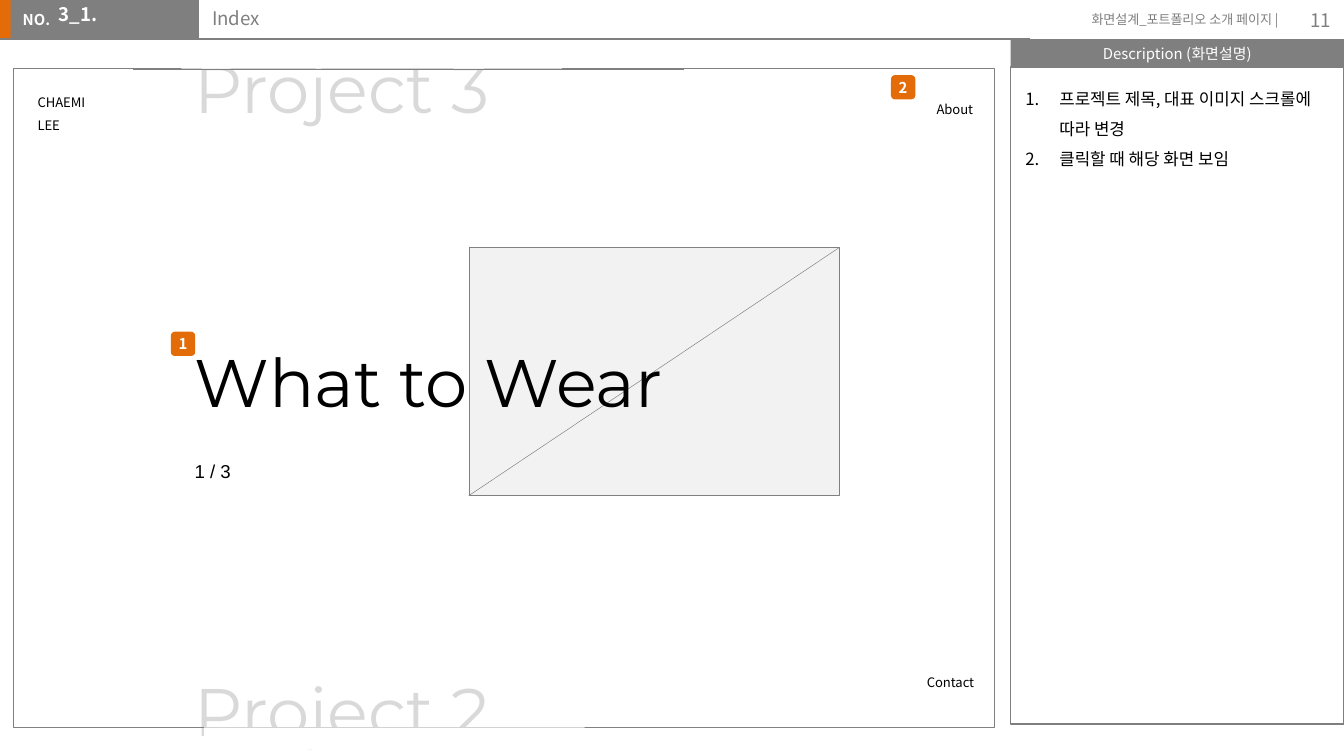
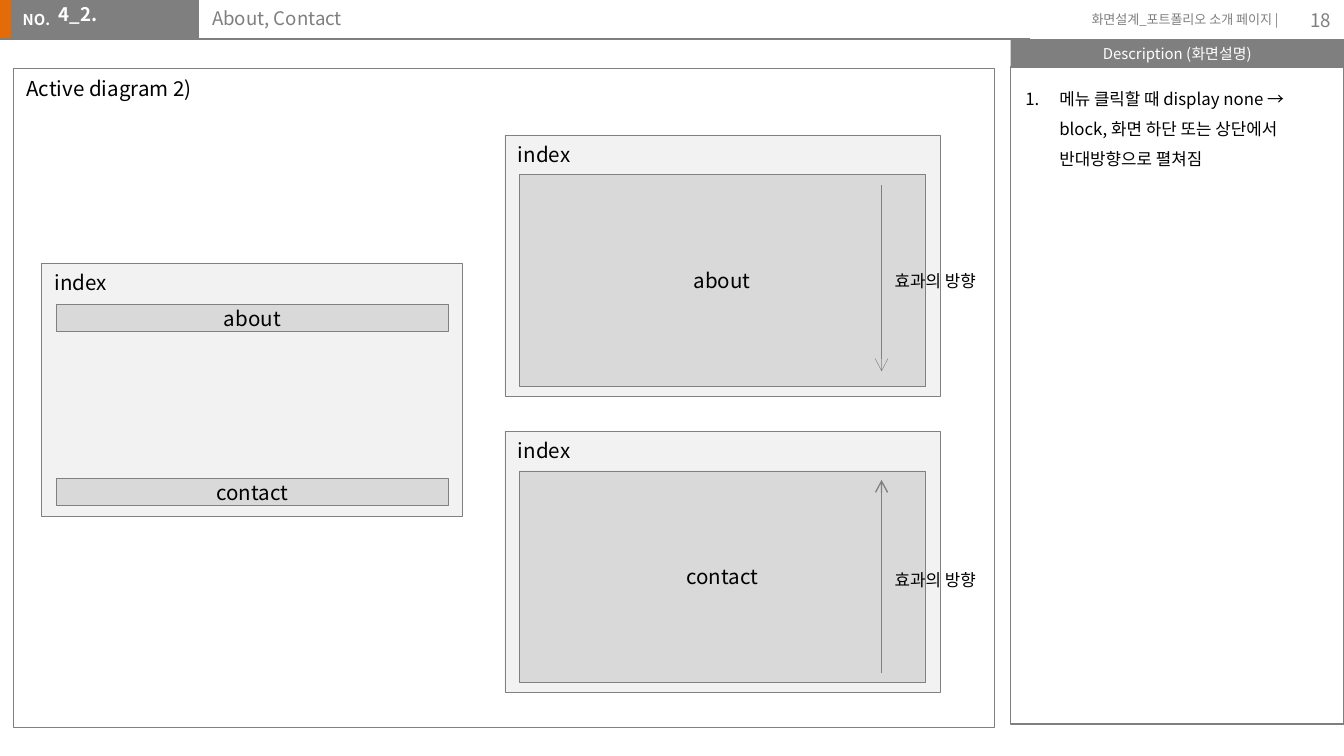
"""Build two screen-design slides of a portfolio storyboard."""
from lxml import etree
from pptx import Presentation
from pptx import util as u
from pptx.dml.color import RGBColor
from pptx.enum import shapes, text
from pptx.oxml import ns

HUES = {
    "accent": "E36C09", "bar": "7F7F7F", "edge": "808080", "pale": "F2F2F2",
    "mid": "D9D9D9", "white": "FFFFFF", "black": "000000",
}
SANS, SHOW, PLAIN = "Noto Sans CJK KR", "Montserrat", "Arial"
LEFT, RIGHT = text.PP_ALIGN.LEFT, text.PP_ALIGN.RIGHT
MID, JUST = text.PP_ALIGN.CENTER, text.PP_ALIGN.JUSTIFY
FRAME = (0.25, 1.3, 18.54, 12.45)


def apply(item, form):
    """Set each attribute named in the form."""
    for key, val in form.items():
        setattr(item, key, val)


def child(node, tag, **attrs):
    """Append a drawing element to a node."""
    return etree.SubElement(node, ns.qn("a:" + tag), attrs)


class Deck:
    """Hold the style and the current slide."""

    def __init__(self):
        """Open a blank wide presentation."""
        self.pres = Presentation()
        apply(self.pres, {"slide_width": u.Cm(25.4), "slide_height": u.Cm(14.29)})
        self.slide = None

    def hue(self, name):
        """Return the named colour."""
        return RGBColor.from_string(HUES[name])

    def letter(self, shape, lines, size=7, hue="black", font=SANS, bold=False,
               align=LEFT, anchor=text.MSO_ANCHOR.TOP, pads=(0.25, 0.13),
               gap=None, indent=None, count=False):
        """Fill a shape with formatted paragraphs."""
        frame = shape.text_frame
        side, top = map(u.Cm, pads)
        apply(frame, {"word_wrap": True, "vertical_anchor": anchor,
                      "margin_left": side, "margin_right": side,
                      "margin_top": top, "margin_bottom": top})
        for i, line in enumerate(lines.split("\n")):
            para = frame.add_paragraph() if i else frame.paragraphs[0]
            apply(para, {"alignment": align, "line_spacing": gap})
            run = para.add_run()
            run.text = line
            apply(run.font, {"size": u.Pt(size), "bold": bold, "name": font})
            run.font.color.rgb = self.hue(hue)
            child(run.font._element, "ea", typeface=font)
            if indent:
                props = para._p.get_or_add_pPr()
                props.set("marL", str(u.Cm(indent)))
                props.set("indent", str(u.Cm(-0.64)))
                if count:
                    child(props, "buFont", typeface=font)
                    child(props, "buAutoNum", type="arabicPeriod")

    def label(self, area, lines, **form):
        """Add a text box."""
        self.letter(self.slide.shapes.add_textbox(*map(u.Cm, area)), lines, **form)

    def box(self, area, fill=None, edge=None, width=0.25, lines=None,
            kind=shapes.MSO_SHAPE.RECTANGLE, **form):
        """Add a filled or outlined shape."""
        shape = self.slide.shapes.add_shape(kind, *map(u.Cm, area))
        shape.shadow.inherit = False
        if fill:
            shape.fill.solid()
            shape.fill.fore_color.rgb = self.hue(fill)
        else:
            shape.fill.background()
        if edge:
            shape.line.color.rgb = self.hue(edge)
            shape.line.width = u.Pt(width)
        else:
            shape.line.fill.background()
        if lines:
            self.letter(shape, lines, **form)

    def line(self, ends, hue="edge", width=0.25, arrow=False):
        """Add a straight line, with an arrowhead on request."""
        link = self.slide.shapes.add_connector(
            shapes.MSO_CONNECTOR.STRAIGHT, *map(u.Cm, ends))
        link.line.color.rgb = self.hue(hue)
        link.line.width = u.Pt(width)
        if arrow:
            child(link.line._get_or_add_ln(), "tailEnd", type="arrow")
        child(link._element.spPr, "effectLst")

    def badge(self, left, top, mark):
        """Add a numbered marker."""
        self.box((left, top, 0.46, 0.46), "accent", lines=mark, size=8,
                 hue="white", bold=True, align=MID, pads=(0, 0),
                 anchor=text.MSO_ANCHOR.MIDDLE,
                 kind=shapes.MSO_SHAPE.ROUNDED_RECTANGLE)

    def card(self, area):
        """Add a pale index screen."""
        self.box(area, "pale", "edge", lines="index", size=11)

    def pane(self, area, name):
        """Add a named panel of a screen."""
        self.box(area, "mid", "edge", lines=name, size=11, align=MID,
                 anchor=text.MSO_ANCHOR.MIDDLE)

    def page(self, code, title, number, notes):
        """Start a slide with header, description and frame."""
        self.slide = self.pres.slides.add_slide(self.pres.slide_layouts[6])
        mid = text.MSO_ANCHOR.MIDDLE
        self.box((-0.03, 0, 0.3, 0.74), "accent")
        self.box((0.2, 0, 3.56, 0.74), "bar")
        self.label((0.18, 0.08, 1.04, 0.61), "NO.", size=8, hue="white", bold=True)
        self.line((0, 0.74, 19.46, 0.74), "bar", 0.75)
        self.box((19.1, 0.74, 6.3, 0.53), "bar", lines="Description (화면설명)",
                 size=8, hue="white", align=MID, anchor=mid, pads=(0.23, 0.1))
        self.box((19.1, 1.27, 6.3, 12.42), edge="bar", width=0.75)
        self.label((19.38, 0.08, 5.03, 0.61), "화면설계_포트폴리오 소개 페이지 |",
                   hue="bar", align=RIGHT)
        self.label((23.88, 0, 1.52, 0.76), number, size=10, hue="bar",
                   align=RIGHT, anchor=mid)
        self.label((0.23, -0.15, 2.79, 0.79), code, size=10, hue="white",
                   bold=True, pads=(0.25, 0.25), indent=1.27)
        self.label((19.13, 1.35, 6.27, 12.37), notes, size=9, gap=1.5,
                   indent=0.64, count=True)
        self.label((3.76, -0.08, 15.6, 0.81), title, size=10, hue="bar",
                   pads=(0.25, 0.25))
        self.box(FRAME, "white", "edge")


def index(deck):
    """Draw the index screen."""
    deck.page("3_1.", "Index", "11",
              "프로젝트 제목, 대표 이미지 스크롤에 따라 변경\n클릭할 때 해당 화면 보임")
    deck.label((17.22, 1.78, 1.42, 0.56), "About", align=RIGHT)
    deck.box((8.86, 4.68, 7, 4.69), "pale", "edge")
    deck.line((8.86, 9.37, 15.86, 4.68))
    deck.label((3.43, 6.3, 9.91, 1.8), "What to Wear", size=36, font=SHOW)
    deck.label((3.43, 8.56, 1.42, 0.69), "1 / 3", size=10, font=PLAIN)
    deck.label((0.46, 1.5, 1.68, 1.14), "CHAEMI\nLEE", gap=1.5)
    for top, name in ((0.74, "Project 3"), (12.52, "Project 2")):
        deck.label((3.43, top, 6.86, 1.8), name, size=36, hue="mid", font=SHOW)
    deck.box((3.43, 0.89, 7.19, 0.41), "white")
    for left, top in ((2.51, 1.3), (2.74, 13.75)):
        deck.line((left, top, left + 10.42, top))
    deck.box((3.86, 13.75, 7.19, 0.41), "white")
    deck.badge(3.23, 6.27, "1")
    deck.badge(16.84, 1.42, "2")
    deck.label((17.09, 12.62, 1.57, 0.56), "Contact", align=RIGHT)


def about(deck):
    """Draw the opening directions of the two menus."""
    deck.page("4_2.", "About, Contact", "18",
              "메뉴 클릭할 때 display none → block, 화면 하단 또는 상단에서 "
              "반대방향으로 펼쳐짐")
    views = (("about", 2.55, 3.5, 7.02, 0.25, 4.98),
             ("contact", 8.15, 12.73, 9.07, 0.75, 10.64))
    for name, top, start, end, width, tag in views:
        deck.card((9.54, top, 8.24, 4.94))
        deck.pane((9.81, top + 0.75, 7.68, 4), name)
        deck.line((16.66, start, 16.66, end), width=width, arrow=True)
        deck.label((16.66, tag, 2.39, 0.64), "효과의 방향", size=9, align=JUST)
    deck.card((0.78, 4.98, 7.96, 4.78))
    for name, top in (("about", 5.76), ("contact", 9.05)):
        deck.pane((1.06, top, 7.42, 0.51), name)
    deck.label((0.25, 1.3, 3.96, 0.74), "Active diagram 2)", size=11, align=JUST)


deck = Deck()
index(deck)
about(deck)
deck.pres.save("out.pptx")
